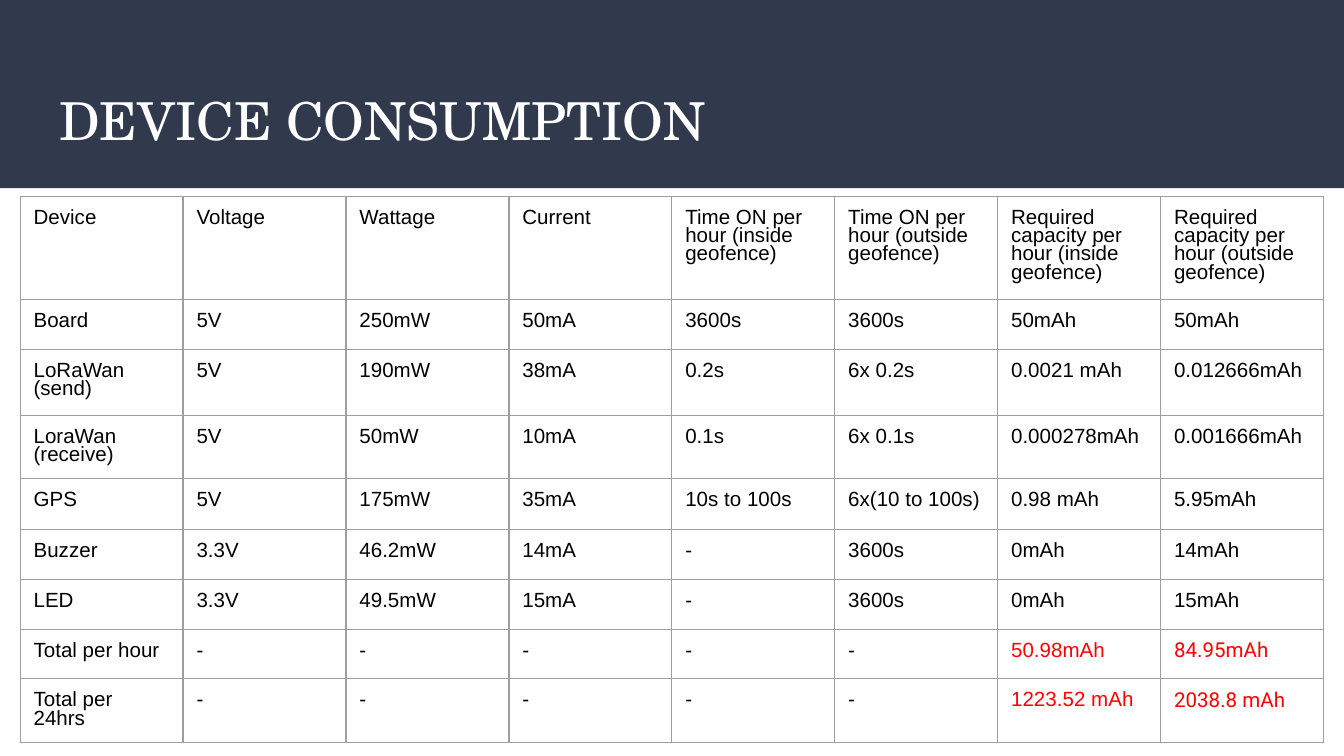
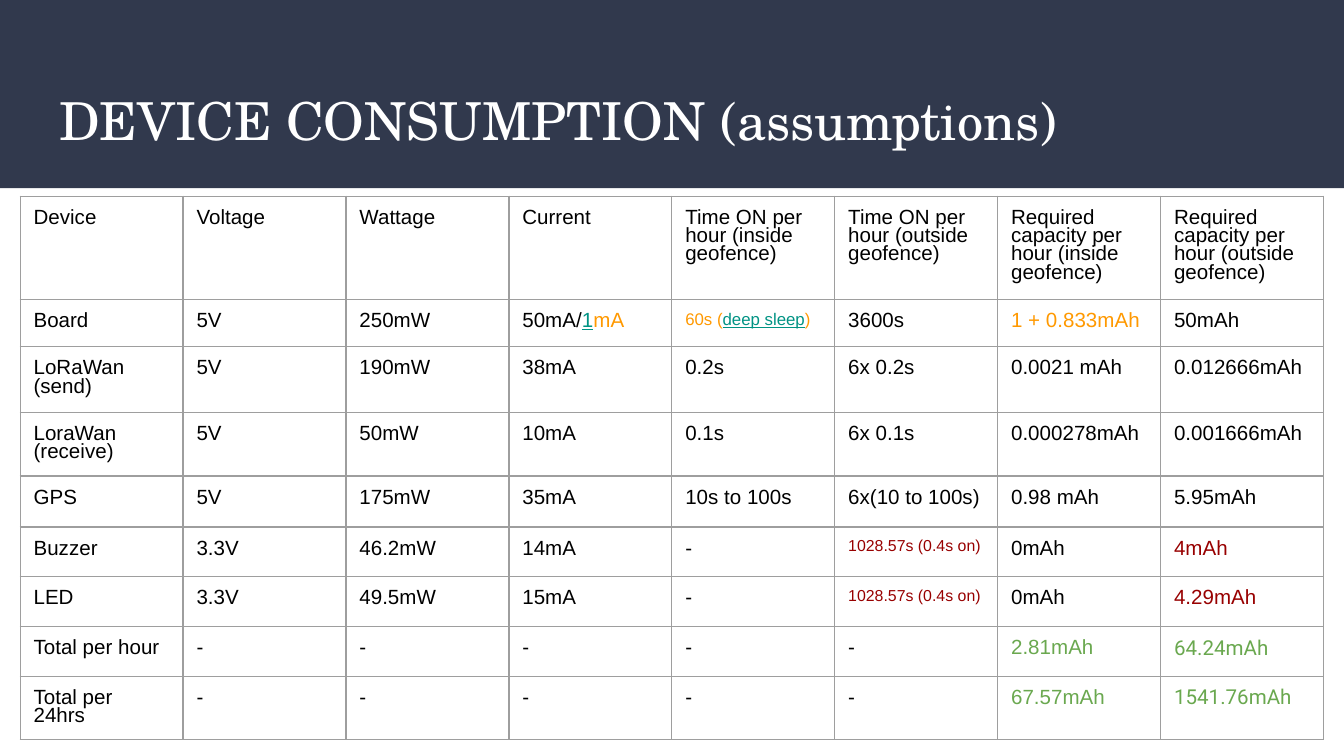
from dataclasses import dataclass

from lxml.etree import SubElement
from pptx import Presentation
from pptx.dml.color import RGBColor
from pptx.enum.shapes import MSO_SHAPE
from pptx.enum.text import MSO_ANCHOR, MSO_AUTO_SIZE, PP_ALIGN
from pptx.oxml.ns import qn
from pptx.util import Pt

EMU_PER_PX = 4572  # 200 px to the inch
SLIDE_W, SLIDE_H = 2000, 1125
BAND = (0, 0, SLIDE_W, 280)
TITLE = (68, 110, 1864, 136)
TABLE = (30, 292, 1940)
INSET = 20
BORDER_PT = 0.75

COLORS = {
    "band": "31394D",
    "title": "FFFFFF",
    "text": "000000",
    "border": "9E9E9E",
    "over": "FF0000",
    "link": "009384",
    "sleep": "FF9900",
    "blink": "980000",
    "saved": "6AA84F",
}
TITLE_FONT, BODY_FONT, TOTAL_FONT = "TeX Gyre Schola", "Arial", "Roboto"


@dataclass
class Span:
    text: str
    color: str = "text"
    size: float = 11
    font: str = BODY_FONT
    underline: bool = False


HEADER = ["Device", "Voltage", "Wattage", "Current"] + [
    f"{measure} per hour ({side} geofence)"
    for measure in ("Time ON", "Required capacity")
    for side in ("inside", "outside")
]
DEVICES = [
    ["Board", "5V", "250mW", "50mA", "3600s", "3600s", "50mAh", "50mAh"],
    ["LoRaWan (send)", "5V", "190mW", "38mA", "0.2s", "6x 0.2s", "0.0021 mAh", "0.012666mAh"],
    ["LoraWan (receive)", "5V", "50mW", "10mA", "0.1s", "6x 0.1s", "0.000278mAh", "0.001666mAh"],
    ["GPS", "5V", "175mW", "35mA", "10s to 100s", "6x(10 to 100s)", "0.98 mAh", "5.95mAh"],
    ["Buzzer", "3.3V", "46.2mW", "14mA", "-", "3600s", "0mAh", "14mAh"],
    ["LED", "3.3V", "49.5mW", "15mA", "-", "3600s", "0mAh", "15mAh"],
]
BLINK_TIME = [Span("1028.57s (0.4s on)", "blink", 8.5)]
# Cells that change under the assumptions, by (row, column)
ASSUMED = {
    (1, 3): [Span("50mA/"), Span("1", "link", underline=True), Span("mA", "sleep")],
    (1, 4): [
        Span("60s (", "sleep", 9),
        Span("deep sleep", "link", 9, underline=True),
        Span(")", "sleep", 9),
    ],
    (1, 6): [Span("1 + 0.833mAh", "sleep")],
    (5, 5): BLINK_TIME,
    (5, 7): [Span("4mAh", "blink")],
    (6, 5): BLINK_TIME,
    (6, 7): [Span("4.29mAh", "blink")],
}


def px(length):
    return round(length * EMU_PER_PX)


def rgb(name):
    return RGBColor.from_string(COLORS[name])


def add_spans(paragraph, spans):
    for span in spans:
        run = paragraph.add_run()
        run.text = span.text
        font = run.font
        font.name, font.size = span.font, Pt(span.size)
        font.color.rgb = rgb(span.color)
        if span.underline:
            font.underline = True


def set_insets(target):
    target.margin_left = target.margin_right = px(INSET)
    target.margin_top = target.margin_bottom = px(INSET)


def add_title_band(slide, heading):
    title = slide.shapes.title
    band = slide.shapes.add_shape(MSO_SHAPE.RECTANGLE, *map(px, BAND))
    band.shadow.inherit = False
    band.fill.solid()
    band.fill.fore_color.rgb = rgb("band")
    band.line.fill.background()
    title._element.addprevious(band._element)

    title.left, title.top, title.width, title.height = map(px, TITLE)
    frame = title.text_frame
    set_insets(frame)
    frame.word_wrap = True
    frame.auto_size = MSO_AUTO_SIZE.NONE
    frame.vertical_anchor = MSO_ANCHOR.MIDDLE
    paragraph = frame.paragraphs[0]
    paragraph.alignment = PP_ALIGN.LEFT
    add_spans(paragraph, [Span(heading, "title", 28, TITLE_FONT)])


def set_borders(cell):
    properties = cell._tc.get_or_add_tcPr()
    for side in ("lnL", "lnR", "lnT", "lnB"):
        line = SubElement(properties, qn(f"a:{side}"), w=str(Pt(BORDER_PT)))
        fill = SubElement(line, qn("a:solidFill"))
        SubElement(fill, qn("a:srgbClr"), val=COLORS["border"])


def fill_cell(cell, spans):
    set_borders(cell)
    cell.fill.background()
    set_insets(cell)
    paragraph = cell.text_frame.paragraphs[0]
    paragraph.line_spacing = 0.8
    add_spans(paragraph, spans)


def total_row(label, inside, outside, color):
    blanks = [[Span("-")] for _ in HEADER[1:-2]]
    return [[Span(label)], *blanks, [Span(inside, color)], [Span(outside, color, font=TOTAL_FONT)]]


def add_consumption_table(slide, box, rows, heights):
    left, top, width = box
    frame = slide.shapes.add_table(
        len(rows), len(HEADER), px(left), px(top), px(width), px(sum(heights))
    )
    table = frame.table
    table.first_row = table.horz_banding = False
    for column in table.columns:
        column.width = px(width / len(HEADER))
    for row, height, cells in zip(table.rows, heights, rows):
        row.height = px(height)
        for cell, spans in zip(row.cells, cells):
            fill_cell(cell, spans)


def add_consumption_slide(prs, heading, totals, total_color, board_height, changes):
    slide = prs.slides.add_slide(prs.slide_layouts[5])
    add_title_band(slide, heading)
    rows = [
        [changes.get((r, c), [Span(text)]) for c, text in enumerate(texts)]
        for r, texts in enumerate([HEADER, *DEVICES])
    ]
    for period, (inside, outside) in zip(("hour", "24hrs"), totals):
        rows.append(total_row(f"Total per {period}", inside, outside, total_color))
    heights = [154, board_height, 98, 92, 76] + [74] * 4
    add_consumption_table(slide, TABLE, rows, heights)


def main():
    prs = Presentation()
    prs.slide_width, prs.slide_height = px(SLIDE_W), px(SLIDE_H)
    add_consumption_slide(
        prs,
        "DEVICE CONSUMPTION",
        [("50.98mAh", "84.95mAh"), ("1223.52 mAh", "2038.8 mAh")],
        "over",
        board_height=74,
        changes={},
    )
    add_consumption_slide(
        prs,
        "DEVICE CONSUMPTION (assumptions)",
        [("2.81mAh", "64.24mAh"), ("67.57mAh", "1541.76mAh")],
        "saved",
        board_height=70,
        changes=ASSUMED,
    )
    prs.save("out.pptx")


if __name__ == "__main__":
    main()
